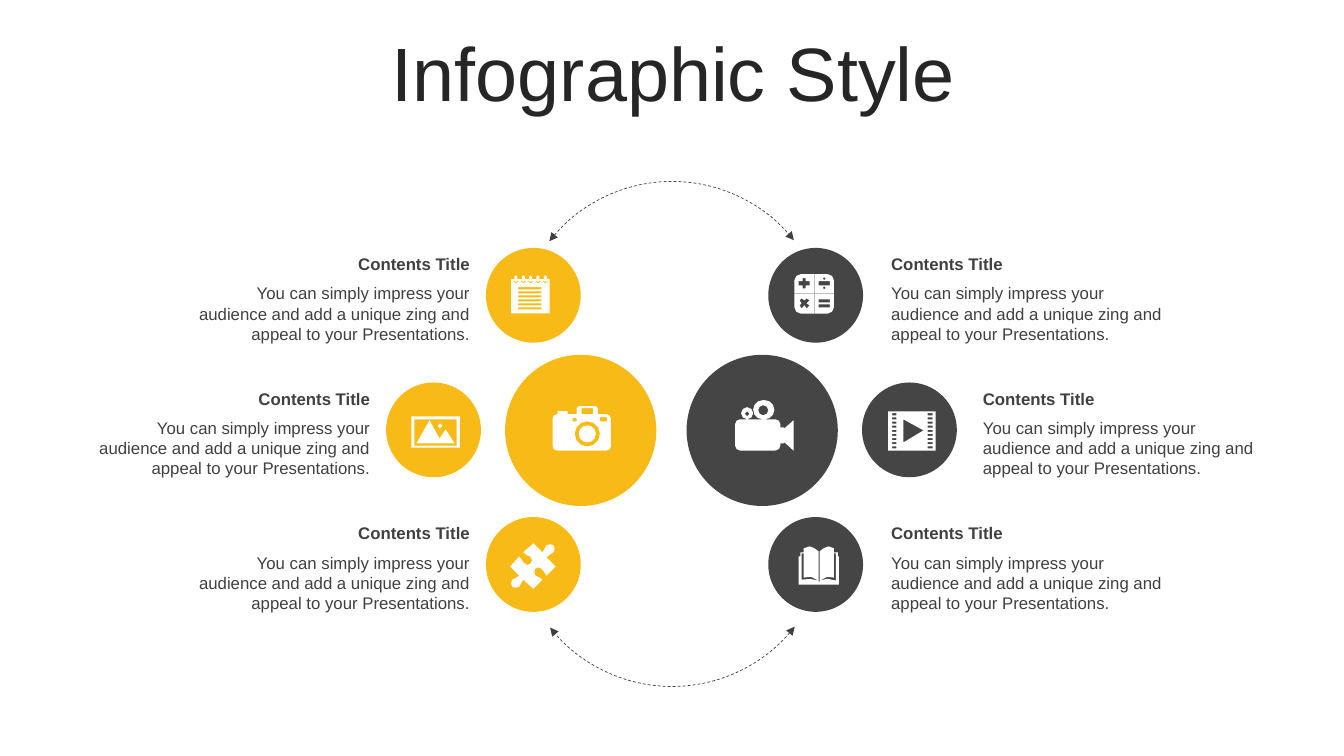
from math import cos, sin, pi
from lxml.etree import SubElement
from pptx import Presentation
from pptx.dml.color import RGBColor as Rgb
from pptx.enum.dml import MSO_LINE_DASH_STYLE as Dash
from pptx.enum.shapes import MSO_SHAPE as Shape
from pptx.enum.text import MSO_ANCHOR as Anchor, MSO_AUTO_SIZE as Auto, PP_ALIGN as Align
from pptx.oxml.ns import qn
from pptx.util import Inches, Pt

deck = Presentation()
deck.slide_width, deck.slide_height = Inches(13.33), Inches(7.5)
slide = deck.slides.add_slide(deck.slide_layouts[6])
shapes = slide.shapes
U = deck.slide_height // 750  # grid of 1333 columns and 750 rows

GOLD, DARK, INK, WHITE = "F8BA16", "454545", "404040", "FFFFFF"


def paint(shape, color):
    shape.shadow.inherit = False
    shape.fill.solid()
    shape.fill.fore_color.rgb = Rgb.from_string(color)
    shape.line.fill.background()


def draw(rings):
    """Draw one white icon; where rings overlap, they cut holes.

    A tuple is a box (left, top, right, bottom, corner radius). A list is an
    outline of points, in which six numbers make a Bezier curve.
    """
    pen = None
    for ring in rings:
        dots = []
        if isinstance(ring, tuple):
            l, t, r, b, rad = ring
            corners = [(r - rad, b - rad), (l + rad, b - rad),
                       (l + rad, t + rad), (r - rad, t + rad)]
            steps = 3 if rad > 8 else 2 if rad > 3 else 1 if rad else 0
            for turn, (x, y) in enumerate(corners):
                for k in range(steps + 1):
                    a = (turn + k / max(steps, 1)) * pi / 2
                    dot = (round(x + rad * cos(a), 2), round(y + rad * sin(a), 2))
                    if dot not in dots:
                        dots.append(dot)
        else:
            for part in ring:
                if len(part) == 2:
                    dots.append(part)
                    continue
                x, y = dots[-1]
                x1, y1, x2, y2, x3, y3 = part
                dots.append(((x + 3 * x1 + 3 * x2 + x3) / 8,
                             (y + 3 * y1 + 3 * y2 + y3) / 8))
                dots.append((x3, y3))
        dots = [(x * U, y * U) for x, y in dots]
        if pen is None:
            pen = shapes.build_freeform(*dots[0])
        else:
            pen.move_to(*dots[0])
        pen.add_line_segments(dots[1:], close=True)
    paint(pen.convert_to_shape(), WHITE)


# Circles and labels, three rows a side
texts = [(35, 37, 1266, 79, "Infographic Style", 54, "262626", False, Align.CENTER)]
discs = []
body = ("You can simply impress your audience and add a unique zing "
        "and appeal to your Presentations.")
sides = [(GOLD, 501, (482, 383, 482), (186, 87, 186), 290, Align.RIGHT),
         (DARK, 681, (762, 855, 762), (874, 965, 874), 292, Align.LEFT)]
for color, hub, spots, lefts, wide, align in sides:
    discs.append((hub, 352, 150, color))
    for row, (spot, left) in enumerate(zip(spots, lefts)):
        top = 246 + 133.5 * row
        discs.append((spot, top, 94, color))
        texts.append((left, top + 30, wide, 71, body, 12, INK, False, align))
        texts.append((left, top + 1, wide, 30, "Contents Title", 12, INK, True, align))

for x, y, size, color in discs:
    disc = shapes.add_shape(Shape.OVAL, int(x * U), int(y * U), size * U, size * U)
    paint(disc, color)

# Dashed double arrows above and below
for top, turn in ((180, 0), (372, 180)):
    arc = shapes.add_shape(Shape.ARC, 512 * U, top * U, 309 * U, 309 * U)
    arc.adjustments[0], arc.adjustments[1] = 130.82, 192.9
    arc.rotation = turn
    arc.shadow.inherit = False
    arc.fill.background()
    arc.line.color.rgb = Rgb.from_string(INK)
    arc.line.width = Pt(0.5)
    arc.line.dash_style = Dash.DASH
    line = arc.element.spPr.find(qn("a:ln"))
    for end in ("a:headEnd", "a:tailEnd"):
        SubElement(line, qn(end)).set("type", "triangle")

for x, y, w, h, words, size, color, bold, align in texts:
    box = shapes.add_textbox(int(x * U), int(y * U), w * U, h * U)
    frame = box.text_frame
    frame.word_wrap = True
    frame.text = words
    para = frame.paragraphs[0]
    para.alignment = align
    if align == Align.CENTER:
        frame.vertical_anchor = Anchor.MIDDLE
        para.line_spacing = 0.9
    else:
        frame.auto_size = Auto.SHAPE_TO_FIT_TEXT
    font = para.runs[0].font
    font.name, font.size, font.bold = "Arial", Pt(size), bold
    font.color.rgb = Rgb.from_string(color)

# Icons
notes = [(507, 277, 545, 311, 0)]
notes += [(514, 285 + 4 * i, 537, 287 + 4 * i, 0) for i in range(6)]
for i in range(5):
    mid = 511.7 + 7.3 * i
    notes += [(mid - 2.5, 277, mid + 2.5, 281, 2), (mid - 1.5, 273, mid + 1.5, 280, 1.5)]

sums = [(788, 272, 827, 311, 6), (807.3, 272, 807.8, 311, 0),
        (788, 291, 807.3, 291.5, 0), (807.8, 291, 827, 291.5, 0),
        (812, 279, 823, 283, 0), (816, 275, 819, 278, 1.5), (816, 284, 819, 287, 1.5),
        (812, 297, 823, 300, 0), (812, 302, 823, 305, 0),
        [(796, 276), (799, 276), (799, 279), (803, 279), (803, 283), (799, 283),
         (799, 286), (796, 286), (796, 283), (792, 283), (792, 279), (796, 279)],
        [(795, 296), (798, 298), (800, 296), (803, 298), (800, 301), (803, 303),
         (800, 306), (798, 303), (795, 306), (793, 303), (795, 301), (793, 298)]]

puzzle = [[(549, 541), (550, 543, 551, 546, 549, 548), (547, 551, 544, 549, 542, 553),
           (551, 562), (542, 571), (539, 568, 540, 566, 537, 564),
           (535, 562, 533, 563, 531, 564), (530, 565, 529, 569, 531, 571),
           (534, 573, 535, 572, 538, 575), (529, 584), (519, 575),
           (516, 578, 518, 579, 515, 582), (513, 584, 510, 583, 508, 582),
           (507, 580, 506, 577, 508, 575), (510, 573, 513, 574, 515, 571),
           (506, 562), (515, 552), (519, 555, 517, 557, 520, 559),
           (522, 561, 525, 561, 526, 559), (528, 558, 529, 554, 526, 552),
           (523, 550, 522, 552, 519, 548), (529, 539), (538, 548),
           (541, 545, 539, 544, 542, 541), (544, 539, 547, 540, 549, 541)]]

book = [[(812, 577), (813, 577), (813, 576), (819, 574, 822, 573, 829, 576),
         (829, 549), (827, 549), (827, 573), (823, 571, 818, 572, 813, 576),
         (813, 547), (816, 544, 818, 543, 822, 542), (827, 544),
         (827, 548), (831, 548), (831, 552), (832, 552), (832, 580), (792, 580),
         (792, 552), (794, 552), (794, 548), (797, 548), (797, 544),
         (803, 542), (806, 543, 809, 544, 812, 547),
         (812, 576), (807, 572, 802, 571, 797, 573), (797, 549), (795, 549),
         (795, 575), (802, 573, 806, 575, 812, 576)]]

film = [(881, 408, 928, 447, 0), [(896, 416), (896, 439), (916, 427)]]
for i in range(9):
    top = 410 + 4.1 * i
    film += [(885, top, 889, top + 2, 0), (920, top, 925, top + 2, 0)]

camera = [(548, 411, 606, 447, 4.5), (553, 408, 563, 411, 0),
          [(572, 411), (572, 405), (574, 403), (591, 403), (593, 405), (593, 411)],
          (577, 405, 588, 411, 0), (568, 415, 572, 418, 0), (595, 414, 602, 418, 0),
          (570, 418, 595, 443, 12.5), (574, 422, 591, 439, 8.5)]

movie = [(729, 416, 774, 447, 5), (735, 404, 747, 416, 6), (739, 408, 743, 413, 2),
         (747, 397, 768, 416, 9.5), (752, 402, 762, 412, 5),
         [(774, 424), (777, 424), (778, 425), (787, 417), (787, 447),
          (778, 439), (777, 440), (774, 440)]]

photo = [(408, 413, 456, 444, 0), (411, 416, 453, 442, 0), (434, 420, 439, 425, 2.5),
         [(426, 417), (436, 435), (442, 426), (451, 440), (413, 440)]]

for icon in (notes, sums, puzzle, book, film, camera, movie, photo):
    draw(icon)

deck.save("out.pptx")
